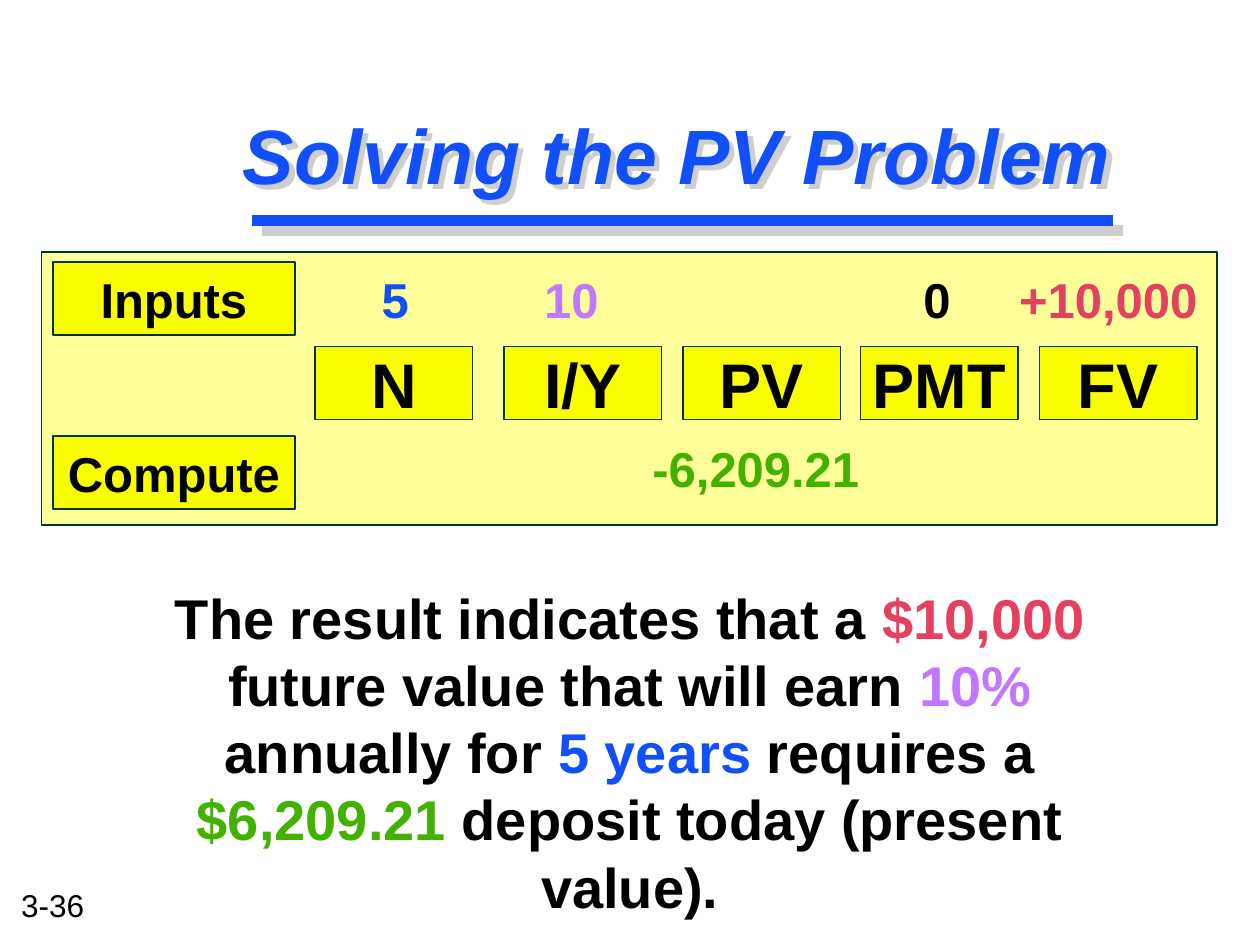
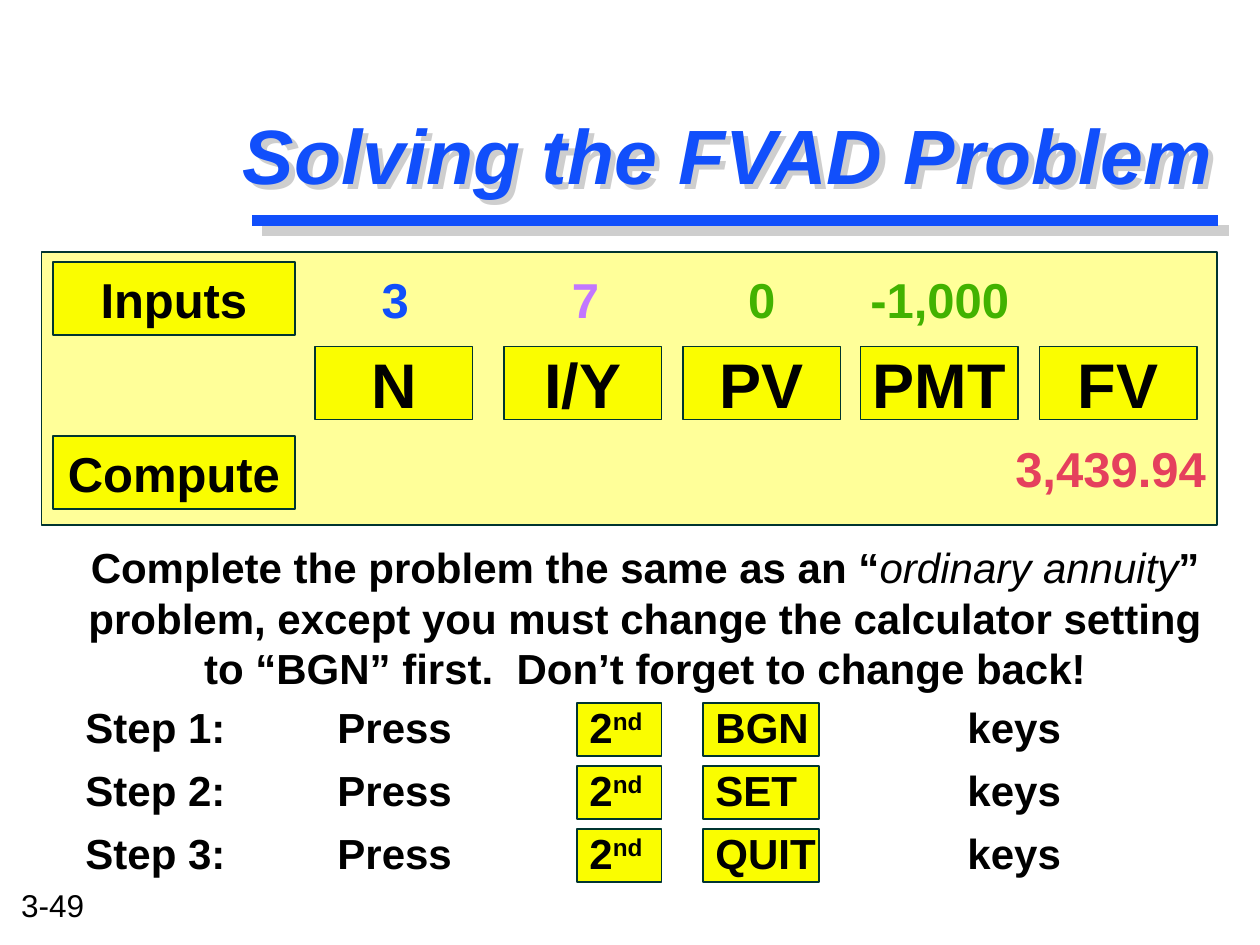
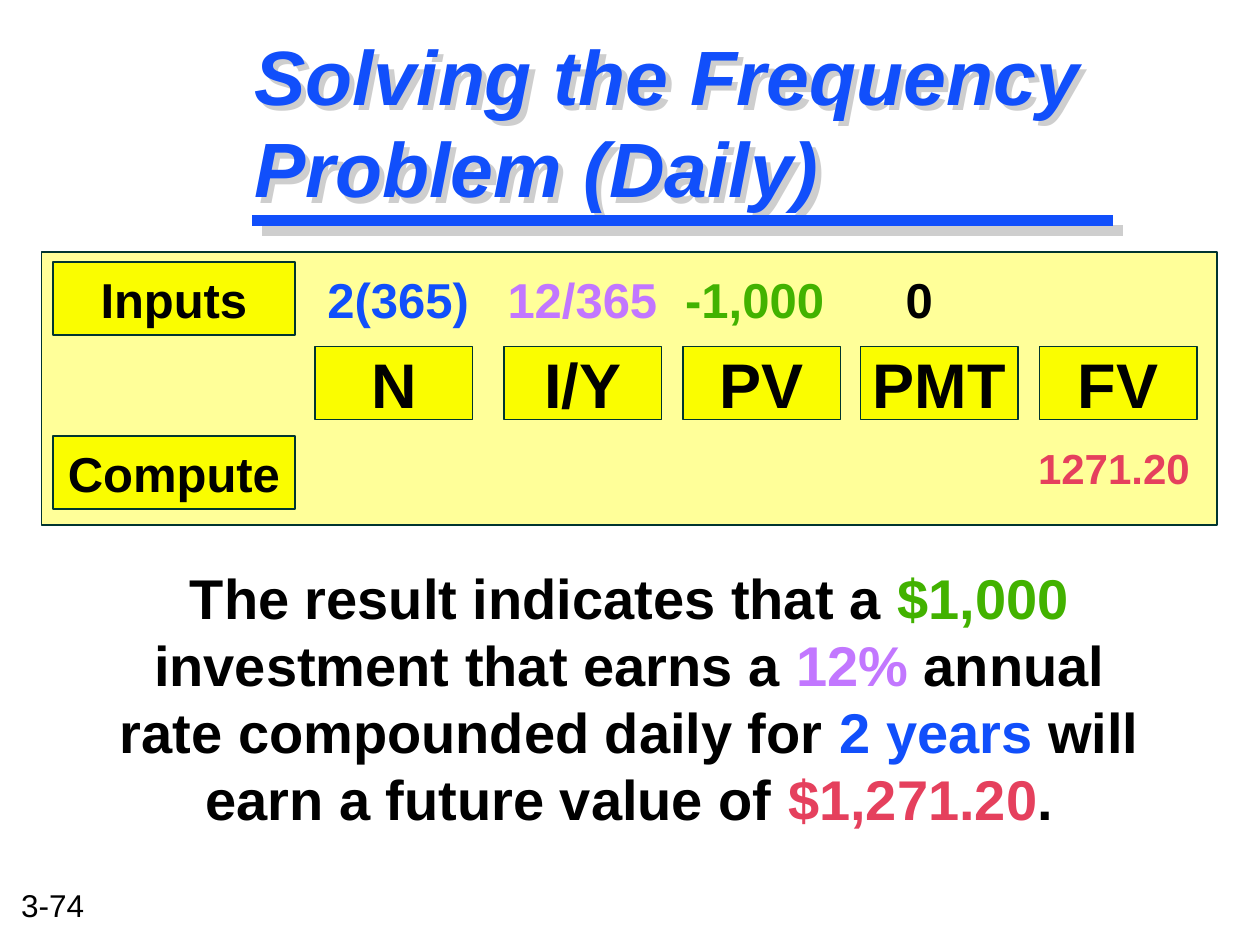
from lxml import etree
from pptx import Presentation
from pptx.dml.color import RGBColor
from pptx.enum.shapes import MSO_CONNECTOR, MSO_SHAPE
from pptx.enum.text import MSO_ANCHOR, PP_ALIGN
from pptx.oxml.ns import qn
from pptx.util import Inches, Pt

RECT = MSO_SHAPE.RECTANGLE
STRAIGHT = MSO_CONNECTOR.STRAIGHT
MIDDLE, TOP = MSO_ANCHOR.MIDDLE, MSO_ANCHOR.TOP
LEFT, CENTER = PP_ALIGN.LEFT, PP_ALIGN.CENTER

FONT = "Arial"
BLACK, BLUE, VIOLET = "000000", "114FFB", "C277FF"
GREEN, RED, GRAY = "42B200", "E5405D", "CECECE"
PANEL, KEY, EDGE = "FFFF99", "FAFD00", "003530"

KEYS = {"N": 2.5, "I/Y": 4, "PV": 5.42, "PMT": 6.83, "FV": 8.25}
ROW_LEFT, ROW_WIDTH, ROW_HEIGHT, INSET = 2.5, 7, 0.58, 0.1
STEP_TABS = (2, 4, 5, 7)


def rgb(color):
    return RGBColor.from_string(color)


def add_run(p, text, color=BLACK):
    r = p.add_run()
    r.text = text
    r.font.color.rgb = rgb(color)
    return r


def style(p, size, bold=True, align=LEFT):
    p.alignment = align
    p.font.name = FONT
    p.font.size = Pt(size)
    p.font.bold = bold


def set_tabs(p, positions):
    """Give a paragraph left tab stops, in inches from the text edge."""
    tabs = etree.SubElement(p._p.get_or_add_pPr(), qn("a:tabLst"))
    for pos in positions:
        etree.SubElement(tabs, qn("a:tab"), pos=str(Inches(pos)), algn="l")


def add_rect(s, x, y, w, h, fill, edge=None):
    sp = s.shapes.add_shape(RECT, Inches(x), Inches(y), Inches(w), Inches(h))
    sp.shadow.inherit = False
    sp.fill.solid()
    sp.fill.fore_color.rgb = rgb(fill)
    if edge:
        sp.line.color.rgb = rgb(edge)
        sp.line.width = Pt(1)
    else:
        sp.line.fill.background()
    return sp


def add_label(s, text, x, y, w, size):
    sp = add_rect(s, x, y, w, ROW_HEIGHT, KEY, EDGE)
    tf = sp.text_frame
    tf.word_wrap = False
    tf.vertical_anchor = MIDDLE
    p = tf.paragraphs[0]
    style(p, size, align=CENTER)
    add_run(p, text)


def add_text_box(s, x, y, w, h, anchor=TOP, wrap=True):
    sp = s.shapes.add_textbox(Inches(x), Inches(y), Inches(w), Inches(h))
    sp.text_frame.word_wrap = wrap
    sp.text_frame.vertical_anchor = anchor
    return sp


def add_rule(s, x1, x2, y, color):
    line = s.shapes.add_connector(STRAIGHT, Inches(x1), Inches(y), Inches(x2), Inches(y))
    line.line.color.rgb = rgb(color)
    line.line.width = Pt(6)
    etree.SubElement(line._element.spPr, qn("a:effectLst"))


def add_text_shadow(sp):
    """Cast a gray shadow down and right from an unfilled box's text."""
    effects = etree.SubElement(sp._element.spPr, qn("a:effectLst"))
    shadow = etree.SubElement(effects, qn("a:outerShdw"), dist="53882", dir="2700000",
                              algn="ctr", rotWithShape="0")
    etree.SubElement(shadow, qn("a:srgbClr"), val=GRAY)


def add_title(s, text, x, y, h, rule_end):
    add_rule(s, 2.08, rule_end + 0.08, 1.83, GRAY)
    sp = add_text_box(s, x, y, 8.08, h, MIDDLE)
    add_text_shadow(sp)
    p = sp.text_frame.paragraphs[0]
    style(p, 44)
    p.font.italic = True
    add_run(p, text, BLUE)
    add_rule(s, 2, rule_end, 1.75, BLUE)


def add_page_number(s, text):
    p = add_text_box(s, 0.07, 6.98, 0.73, 0.4, wrap=False).text_frame.paragraphs[0]
    style(p, 18, bold=False)
    add_run(p, text)


def add_value_row(s, y, values, size=28):
    """Add a strip of (left edge, text, color) values set on tab stops."""
    sp = add_rect(s, ROW_LEFT, y, ROW_WIDTH, ROW_HEIGHT, PANEL)
    tf = sp.text_frame
    tf.word_wrap = False
    tf.vertical_anchor = MIDDLE
    p = tf.paragraphs[0]
    start = ROW_LEFT + INSET
    set_tabs(p, [round(x - start, 2) for x, _, _ in values if x > start])
    style(p, size)
    for x, text, color in values:
        add_run(p, "\t" + text if x > start else text, color)


def add_calculator(s, inputs, result, result_size=28):
    add_rect(s, 0.33, 2, 9.33, 2.17, PANEL, EDGE)
    add_value_row(s, 2.08, inputs)
    add_value_row(s, 3.42, [result], result_size)
    for name, x in KEYS.items():
        add_label(s, name, x, 2.75, 1.25, 36)
    for name, y in (("Inputs", 2.08), ("Compute", 3.46)):
        add_label(s, name, 0.42, y, 1.92, 28)


def add_conclusion(s, x, y, w, h, parts):
    p = add_text_box(s, x, y, w, h).text_frame.paragraphs[0]
    style(p, 32, align=CENTER)
    for text, color in parts:
        add_run(p, text, color)


def add_steps(s, keys):
    """Add the annuity-due advice and one line of key presses per step."""
    for i in range(len(keys)):
        for x, w in ((4.58, 0.67), (5.58, 0.92)):
            add_rect(s, x, 5.58 + 0.5 * i, w, 0.42, KEY, EDGE)
    tf = add_text_box(s, 0.58, 4.25, 9.08, 2.83).text_frame
    p = tf.paragraphs[0]
    style(p, 24, align=CENTER)
    p.space_after = Pt(4.8)
    add_run(p, "Complete the problem the same as an “")
    r = add_run(p, "ordinary annuity")
    r.font.bold, r.font.italic = False, True
    add_run(p, "” problem, except you must change the calculator setting "
               "to “BGN” first.  Don’t forget to change back!")
    for i, key in enumerate(keys):
        p = tf.add_paragraph()
        set_tabs(p, STEP_TABS)
        style(p, 24)
        p.space_before = Pt(2.4 if i else 0)
        p.space_after = Pt(4.8)
        add_run(p, f"Step {i + 1}:\tPress\t2")
        r = add_run(p, "nd")
        r.font._element.set("baseline", "30000")
        add_run(p, f"\t{key}\tkeys")


def add_slide(prs, number):
    s = prs.slides.add_slide(prs.slide_layouts[6])
    add_page_number(s, number)
    return s


def main():
    prs = Presentation()
    prs.slide_width, prs.slide_height = Inches(10), Inches(7.5)

    s = add_slide(prs, "3-36")
    add_title(s, "Solving the PV Problem", 1.83, 0.52, 1.4, 8.83)
    add_calculator(s, [(3.03, "5", BLUE), (4.32, "10", VIOLET), (7.33, "0", BLACK),
                       (8.09, "+10,000", RED)], (5.18, "-6,209.21", GREEN))
    add_conclusion(s, 0.75, 4.58, 8.5, 2.33, [
        ("The result indicates that a ", BLACK), ("$10,000", RED),
        (" future value that will earn ", BLACK), ("10%", VIOLET),
        (" annually for ", BLACK), ("5 years", BLUE),
        (" requires a ", BLACK), ("$6,209.21", GREEN),
        (" deposit today (present value).", BLACK)])

    s = add_slide(prs, "3-49")
    add_title(s, "Solving the FVAD Problem", 1.83, 0.52, 1.4, 9.67)
    add_calculator(s, [(3.03, "3", BLUE), (4.54, "7", VIOLET), (5.94, "0", GREEN),
                       (6.91, "-1,000", GREEN)], (8.06, "3,439.94", RED))
    add_steps(s, ["BGN", "SET", "QUIT"])

    s = add_slide(prs, "3-74")
    add_title(s, "Solving the Frequency Problem (Daily)", 1.92, 0.25, 1.42, 8.83)
    add_calculator(s, [(2.6, "2(365)", BLUE), (4.03, "12/365", VIOLET),
                       (5.44, "-1,000", GREEN), (7.19, "0", BLACK)],
                   (8.24, "1271.20", RED), 24)
    add_conclusion(s, 0.83, 4.42, 8.33, 2.5, [
        ("The result indicates that a ", BLACK), ("$1,000", GREEN),
        (" investment that earns a ", BLACK), ("12%", VIOLET),
        (" annual rate compounded daily for ", BLACK), ("2 years", BLUE),
        (" will earn a future value of ", BLACK), ("$1,271.20", RED),
        (".", BLACK)])

    prs.save("out.pptx")


if __name__ == "__main__":
    main()
